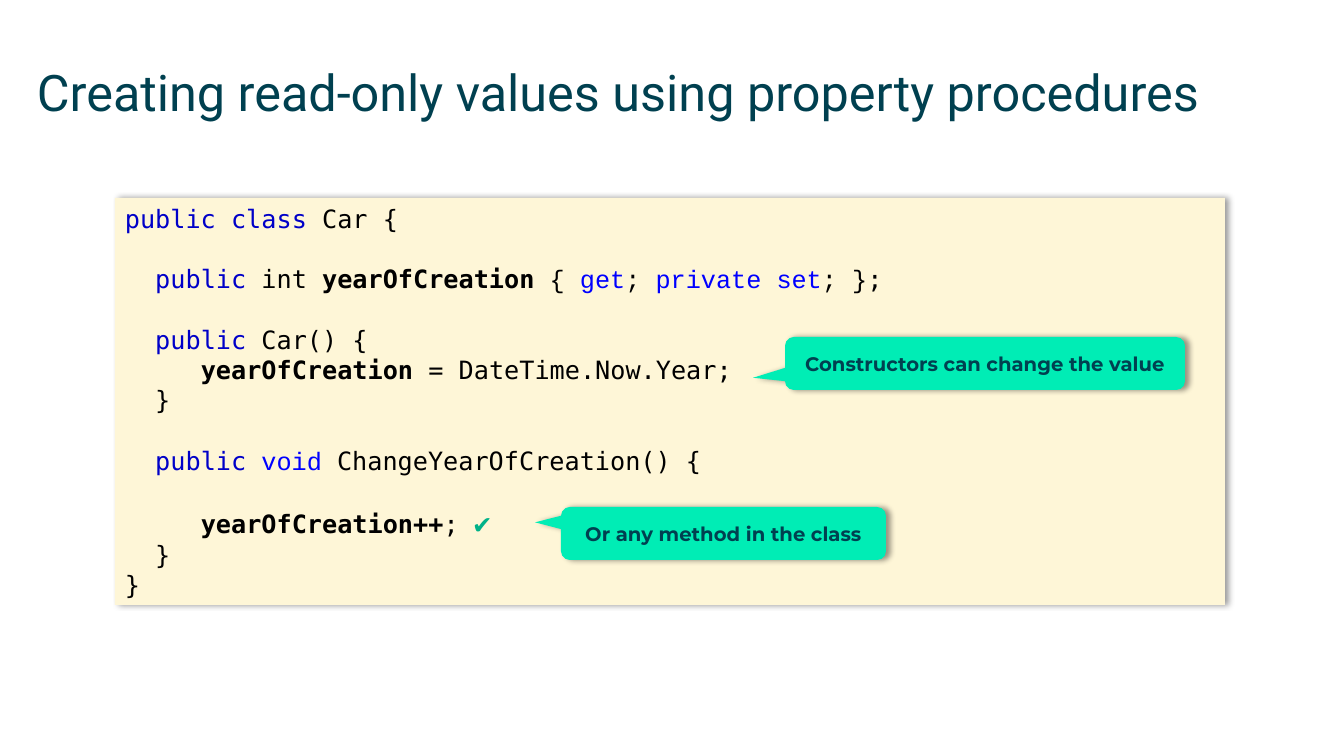
import dataclasses

import pptx
import pptx.dml.color
import pptx.enum.shapes
import pptx.enum.text
import pptx.oxml
import pptx.oxml.ns
import pptx.util

RGBColor = pptx.dml.color.RGBColor
MSO_SHAPE = pptx.enum.shapes.MSO_SHAPE
PP_ALIGN = pptx.enum.text.PP_ALIGN
MSO_ANCHOR = pptx.enum.text.MSO_ANCHOR

PX_PER_INCH = 100.8
PETROL = RGBColor(0x00, 0x40, 0x50)
CREAM = RGBColor(0xFE, 0xF6, 0xD7)
MINT = RGBColor(0x00, 0xED, 0xB5)
GREEN = RGBColor(0x00, 0xB2, 0x88)
BLACK = RGBColor(0x00, 0x00, 0x00)
NAVY = RGBColor(0x00, 0x00, 0xC8)
BLUE = RGBColor(0x00, 0x00, 0xFF)
MONO = "DejaVu Sans Mono"
COURIER = "Courier New"
BLANK_LINE = 21.6


@dataclasses.dataclass(frozen=True)
class Token:
    text: str
    color: RGBColor = BLACK
    bold: bool = False
    font: str = MONO
    size: int = 18


@dataclasses.dataclass(frozen=True)
class CodeLine:
    tokens: tuple[Token, ...]
    gap_before: bool = False


@dataclasses.dataclass(frozen=True)
class Callout:
    text: str
    box: tuple[int, int, int, int]
    tip: tuple[float, float]


FIELD = Token("yearOfCreation", bold=True)

CODE = (
    CodeLine((Token("public class", NAVY), Token(" Car {"))),
    CodeLine((
        Token("  "), Token("public ", NAVY), Token("int "),
        Token("yearOfCreation ", bold=True), Token("{ ", font=COURIER),
        Token("get", BLUE, font=COURIER), Token("; ", font=COURIER),
        Token("private set", BLUE, font=COURIER),
        Token("; }", font=COURIER), Token(";"),
    ), gap_before=True),
    CodeLine((Token("  "), Token("public", NAVY), Token(" Car() {")), gap_before=True),
    CodeLine((Token("     "), FIELD, Token(" = DateTime.Now.Year;"))),
    CodeLine((Token("  }"),)),
    CodeLine((
        Token("  "), Token("public ", NAVY), Token("void ", BLUE, font=COURIER),
        Token("ChangeYearOfCreation() {"),
    ), gap_before=True),
    CodeLine((
        Token("     "), Token("yearOfCreation++", bold=True), Token("; "),
        Token("✔", GREEN, bold=True, size=20),
    ), gap_before=True),
    CodeLine((Token("  }"),)),
    CodeLine((Token("}"),)),
)

CALLOUTS = (
    Callout("Constructors can change the value", (785, 337, 400, 53), (-0.58, 0.27)),
    Callout("Or any method in the class", (561, 507, 325, 53), (-0.58, -0.21)),
)


def px(n: int) -> int:
    return round(n * pptx.util.Inches(1) / PX_PER_INCH)


def add_text(p, text: str, *, font: str, size: int, color: RGBColor,
             bold: bool = False) -> None:
    r = p.add_run()
    r.text = text
    r.font.name = font
    r.font.size = pptx.util.Pt(size)
    r.font.bold = bold
    r.font.color.rgb = color


def add_shadow(sp) -> None:
    sp.shadow.inherit = False
    effects = sp._element.spPr.find(pptx.oxml.ns.qn("a:effectLst"))
    effects.append(pptx.oxml.parse_xml(
        f'<a:outerShdw {pptx.oxml.ns.nsdecls("a")} blurRad="{pptx.util.Pt(4)}" '
        f'dist="{pptx.util.Pt(3)}" dir="0" algn="l" rotWithShape="0">'
        '<a:srgbClr val="000000"><a:alpha val="40000"/></a:srgbClr></a:outerShdw>'))


def add_panel(s, kind: MSO_SHAPE, box: tuple[int, int, int, int], fill: RGBColor):
    sp = s.shapes.add_shape(kind, *map(px, box))
    sp.fill.solid()
    sp.fill.fore_color.rgb = fill
    sp.line.fill.background()
    add_shadow(sp)
    return sp


def add_title(s) -> None:
    tf = s.shapes.add_textbox(*map(px, (37, 61, 1270, 89))).text_frame
    tf.word_wrap = True
    tf.margin_left = tf.margin_right = tf.margin_top = tf.margin_bottom = 0
    add_text(tf.paragraphs[0], "Creating read-only values using property procedures",
             font="Roboto", size=36, color=PETROL)


def add_code(s, lines: tuple[CodeLine, ...]) -> None:
    tf = add_panel(s, MSO_SHAPE.RECTANGLE, (115, 198, 1110, 407), CREAM).text_frame
    tf.word_wrap = True
    tf.vertical_anchor = MSO_ANCHOR.TOP
    for i, line in enumerate(lines):
        p = tf.add_paragraph() if i else tf.paragraphs[0]
        p.alignment = PP_ALIGN.LEFT
        if line.gap_before:
            p.space_before = pptx.util.Pt(BLANK_LINE)
        for t in line.tokens:
            add_text(p, t.text, font=t.font, size=t.size, color=t.color, bold=t.bold)


def add_callout(s, callout: Callout) -> None:
    sp = add_panel(s, MSO_SHAPE.ROUNDED_RECTANGULAR_CALLOUT, callout.box, MINT)
    sp.adjustments[0], sp.adjustments[1] = callout.tip
    tf = sp.text_frame
    tf.word_wrap = True
    tf.vertical_anchor = MSO_ANCHOR.MIDDLE
    p = tf.paragraphs[0]
    p.alignment = PP_ALIGN.CENTER
    add_text(p, callout.text, font="Montserrat", size=14, color=PETROL, bold=True)


def main() -> None:
    prs = pptx.Presentation()
    prs.slide_width, prs.slide_height = px(1344), px(756)
    s = prs.slides.add_slide(prs.slide_layouts[6])

    # Heading
    add_title(s)

    # Code listing
    add_code(s, CODE)

    # Remarks pointing at the code
    for callout in CALLOUTS:
        add_callout(s, callout)

    prs.save("out.pptx")


if __name__ == "__main__":
    main()
